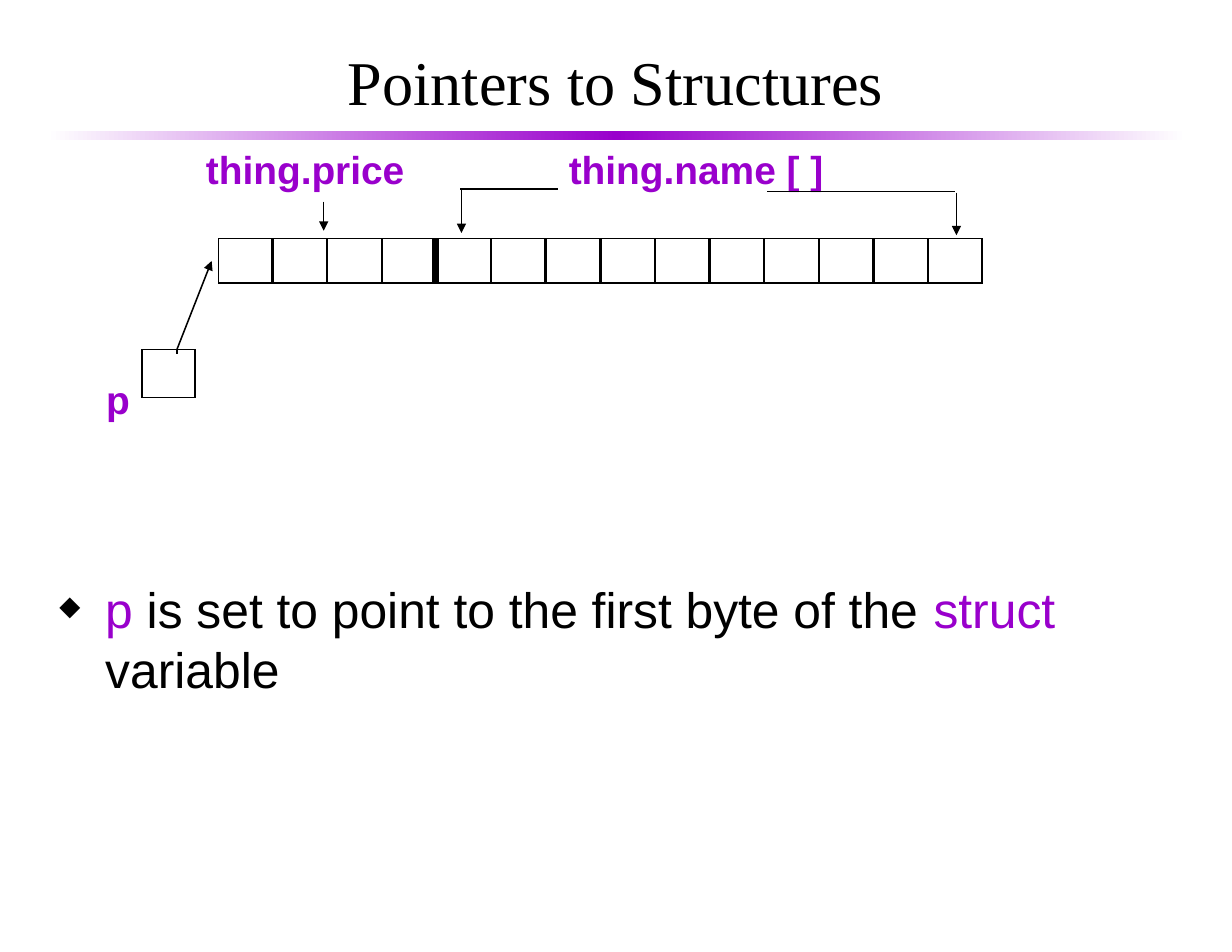
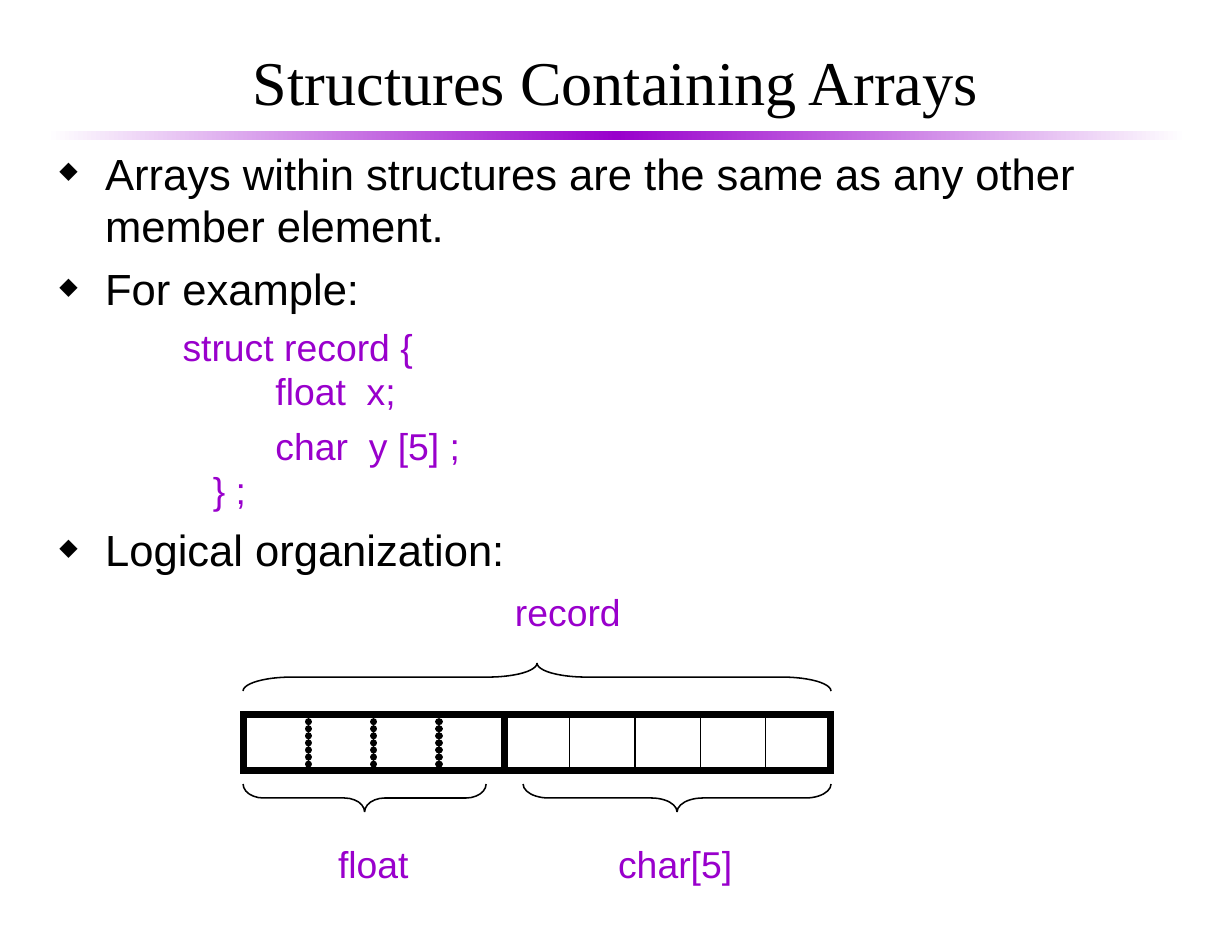
from copy import deepcopy

from pptx import Presentation
from pptx.dml.color import RGBColor
from pptx.enum.shapes import MSO_CONNECTOR, MSO_SHAPE
from pptx.enum.text import MSO_ANCHOR, MSO_AUTO_SIZE, PP_ALIGN
from pptx.oxml.ns import qn
from pptx.oxml.xmlchemy import OxmlElement
from pptx.util import Inches, Pt

RECTANGLE = MSO_SHAPE.RECTANGLE
BRACE = MSO_SHAPE.RIGHT_BRACE
STRAIGHT = MSO_CONNECTOR.STRAIGHT
MIDDLE = MSO_ANCHOR.MIDDLE
CENTER = PP_ALIGN.CENTER
FIT_TEXT = MSO_AUTO_SIZE.SHAPE_TO_FIT_TEXT

COLORS = {"ink": "000000", "accent": "9900CC", "paper": "FFFFFF"}
BODY_FONT, TITLE_FONT = "Arial", "Times New Roman"
THIN, THICK = 1, 4.5
BODY_BOTTOM = 8.08


def color(name):
    return RGBColor.from_string(COLORS[name])


def add_xml(parent, tag, **attributes):
    element = OxmlElement(tag)
    for name, value in attributes.items():
        element.set(name, value)
    parent.append(element)
    return element


class SlideBuilder:
    """Holds the shared style and the slide being drawn."""

    def __init__(self, deck):
        self.deck = deck
        self.page = None

    def new_page(self, title):
        self.page = self.deck.slides.add_slide(self.deck.slide_layouts[5])
        self.band()
        box = self.page.shapes.title
        box.left, box.top, box.width, box.height = map(Inches, (0.58, 0.28, 9.83, 0.88))
        frame = box.text_frame
        frame.vertical_anchor = MIDDLE
        self.margins(frame, 0.11, 0.06)
        frame.paragraphs[0].alignment = CENTER
        self.span(frame.paragraphs[0], title, 40, font=TITLE_FONT)

    def band(self):
        band = self.shape(RECTANGLE, 0.42, 1.17, 10.17, 0.08)
        band.line.fill.background()
        band.fill.gradient()
        band.fill.gradient_angle = 0
        stops = band._element.spPr.find(qn("a:gradFill")).find(qn("a:gsLst"))
        stops.insert(1, deepcopy(stops[0]))
        for stop, position, name in zip(
            band.fill.gradient_stops, (0, 0.5, 1), ("paper", "accent", "paper")
        ):
            stop.position = position
            stop.color.rgb = color(name)

    def margins(self, frame, side, end):
        frame.margin_left = frame.margin_right = Inches(side)
        frame.margin_top = frame.margin_bottom = Inches(end)

    def span(self, para, text, size, tint="ink", font=BODY_FONT, bold=False):
        run = para.add_run()
        run.text = text
        run.font.name = font
        run.font.size = Pt(size)
        run.font.bold = bold
        run.font.color.rgb = color(tint)

    def text_box(self, left, top, width, height):
        box = self.page.shapes.add_textbox(*map(Inches, (left, top, width, height)))
        return box.text_frame

    def body(self, top):
        frame = self.text_box(0.42, top, 10.17, BODY_BOTTOM - top)
        frame.word_wrap = True
        self.margins(frame, 0.11, 0.06)
        return frame

    def paragraph(self, frame, spans, size, before, indent, bullet=False):
        para = frame.paragraphs[0]
        if para.runs:
            para = frame.add_paragraph()
        para.space_before = Pt(before)
        layout = para._p.get_or_add_pPr()
        layout.set("marL", str(Inches(indent)))
        layout.set("indent", str(Inches(-indent if bullet else 0)))
        if bullet:
            add_xml(add_xml(layout, "a:buClr"), "a:srgbClr", val=COLORS["ink"])
            add_xml(layout, "a:buSzPct", val="55000")
            add_xml(layout, "a:buChar", char="◆")
        for text, tint in spans:
            self.span(para, text, size, tint)

    def bullet(self, frame, spans, size):
        self.paragraph(frame, spans, size, size // 4, 0.41, bullet=True)

    def label(self, text, left, top, width, height, size, bold=False, spacing=1.0):
        frame = self.text_box(left, top, width, height)
        frame.word_wrap = False
        frame.auto_size = FIT_TEXT
        self.margins(frame, 0.1, 0.05)
        frame.paragraphs[0].line_spacing = spacing
        self.span(frame.paragraphs[0], text, size, "accent", bold=bold)

    def shape(self, kind, left, top, width, height, weight=THIN):
        shape = self.page.shapes.add_shape(kind, *map(Inches, (left, top, width, height)))
        shape.shadow.inherit = False
        shape.fill.background()
        shape.line.color.rgb = color("ink")
        shape.line.width = Pt(weight)
        add_xml(shape.line._get_or_add_ln(), "a:miter", lim="800000")
        return shape

    def brace(self, left, top, width, rotation):
        """Horizontal brace: 90 points down, 270 points up."""
        depth = 0.25
        middle_x, middle_y = left + width / 2, top + depth / 2
        brace = self.shape(BRACE, middle_x - depth / 2, middle_y - width / 2, depth, width)
        brace.rotation = rotation
        brace.adjustments[0] = width / 12 / depth

    def line(self, start, end, weight=THIN, arrow=False, dotted=False):
        line = self.page.shapes.add_connector(STRAIGHT, *map(Inches, (*start, *end)))
        line.line.color.rgb = color("ink")
        line.line.width = Pt(weight)
        add_xml(line._element.spPr, "a:effectLst")
        stroke = line.line._get_or_add_ln()
        if dotted:
            stroke.set("cap", "rnd")
            add_xml(add_xml(stroke, "a:custDash"), "a:ds", d="1000", sp="100000")
        if arrow:
            add_xml(stroke, "a:tailEnd", type="triangle")


def pointers_slide(builder):
    builder.new_page("Pointers to Structures")
    frame = builder.body(5.11)
    builder.bullet(frame, [
        ("p", "accent"),
        (" is set to point to the first byte of the ", "ink"),
        ("struct", "accent"),
        (" variable", "ink"),
    ], 32)

    # Bytes of the structure
    first, last, count = 1.95, 8.29, 14
    step = (last - first) / (count - 1)
    for index in range(count):
        builder.shape(RECTANGLE, first + index * step, 2.13, 0.48, 0.4)
    builder.line((3.89, 2.13), (3.89, 2.53), THICK)

    # Member names and the pointer
    for text, left, top, width in (
        ("thing.price", 1.74, 1.3, 1.98),
        ("thing.name [ ]", 4.98, 1.3, 2.48),
        ("p", 0.85, 3.35, 0.42),
    ):
        builder.label(text, left, top, width, 0.48, 25, bold=True, spacing=0.9)
    builder.shape(RECTANGLE, 1.27, 3.12, 0.47, 0.43)

    # Lines and arrows from names to bytes
    for start, end in (
        ((4.98, 1.69), (4.11, 1.69)),
        ((6.85, 1.71), (8.53, 1.71)),
        ((1.58, 3.12), (1.58, 3.16)),
    ):
        builder.line(start, end)
    for start, end in (
        ((2.89, 1.8), (2.89, 2.06)),
        ((4.12, 1.7), (4.12, 2.08)),
        ((8.54, 1.72), (8.54, 2.1)),
        ((1.58, 3.12), (1.89, 2.33)),
    ):
        builder.line(start, end, arrow=True)


def arrays_slide(builder):
    builder.new_page("Structures Containing Arrays")
    frame = builder.body(1.25)
    for text in (
        "Arrays within structures are the same as any other member element.",
        "For example:",
    ):
        builder.bullet(frame, [(text, "ink")], 28)
    for text, before, indent in (
        ("struct record {", 6, 1.1),
        ("float  x;", 0, 1.93),
        ("char  y [5] ;", 6, 1.93),
        ("} ;", 0, 1.37),
    ):
        builder.paragraph(frame, [(text, "accent")], 24, before, indent)
    builder.bullet(frame, [("Logical organization:", "ink")], 28)

    # Record of nine bytes: four for the float, five for the array
    left, top, height = 2.17, 6.38, 0.5
    float_bytes, array_bytes = 4, 5
    byte = 5.25 / (float_bytes + array_bytes)
    split = left + float_bytes * byte
    builder.shape(RECTANGLE, left, top, float_bytes * byte, height, THICK)
    builder.shape(RECTANGLE, split, top, array_bytes * byte, height, THICK)
    for index in range(1, float_bytes):
        x = left + index * byte
        builder.line((x, top), (x, top + height), THICK, dotted=True)
    for index in range(1, array_bytes):
        x = split + index * byte
        builder.line((x, top), (x, top + height))

    # Braces and their labels
    builder.brace(left, 5.92, 5.25, 270)
    builder.brace(left, 7, 2.17, 90)
    builder.brace(4.67, 7, 2.75, 90)
    for text, x, y, width in (
        ("record", 4.5, 5.21, 1.2),
        ("float", 2.92, 7.46, 0.85),
        ("char[5]", 5.42, 7.46, 1.25),
    ):
        builder.label(text, x, y, width, 0.5, 24)


def main():
    deck = Presentation()
    deck.slide_width, deck.slide_height = Inches(11), Inches(8.5)
    builder = SlideBuilder(deck)
    pointers_slide(builder)
    arrays_slide(builder)
    deck.save("out.pptx")


if __name__ == "__main__":
    main()
